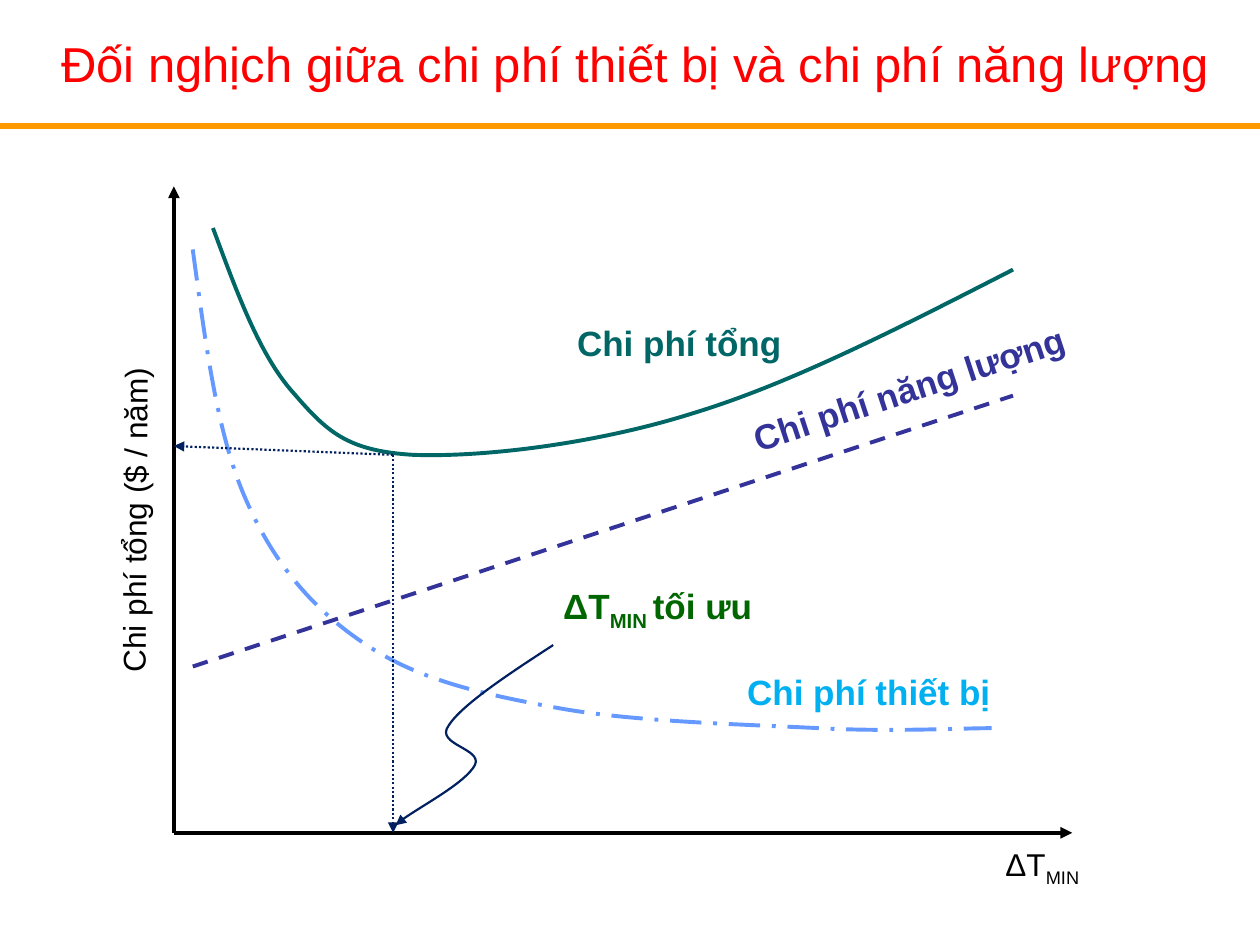
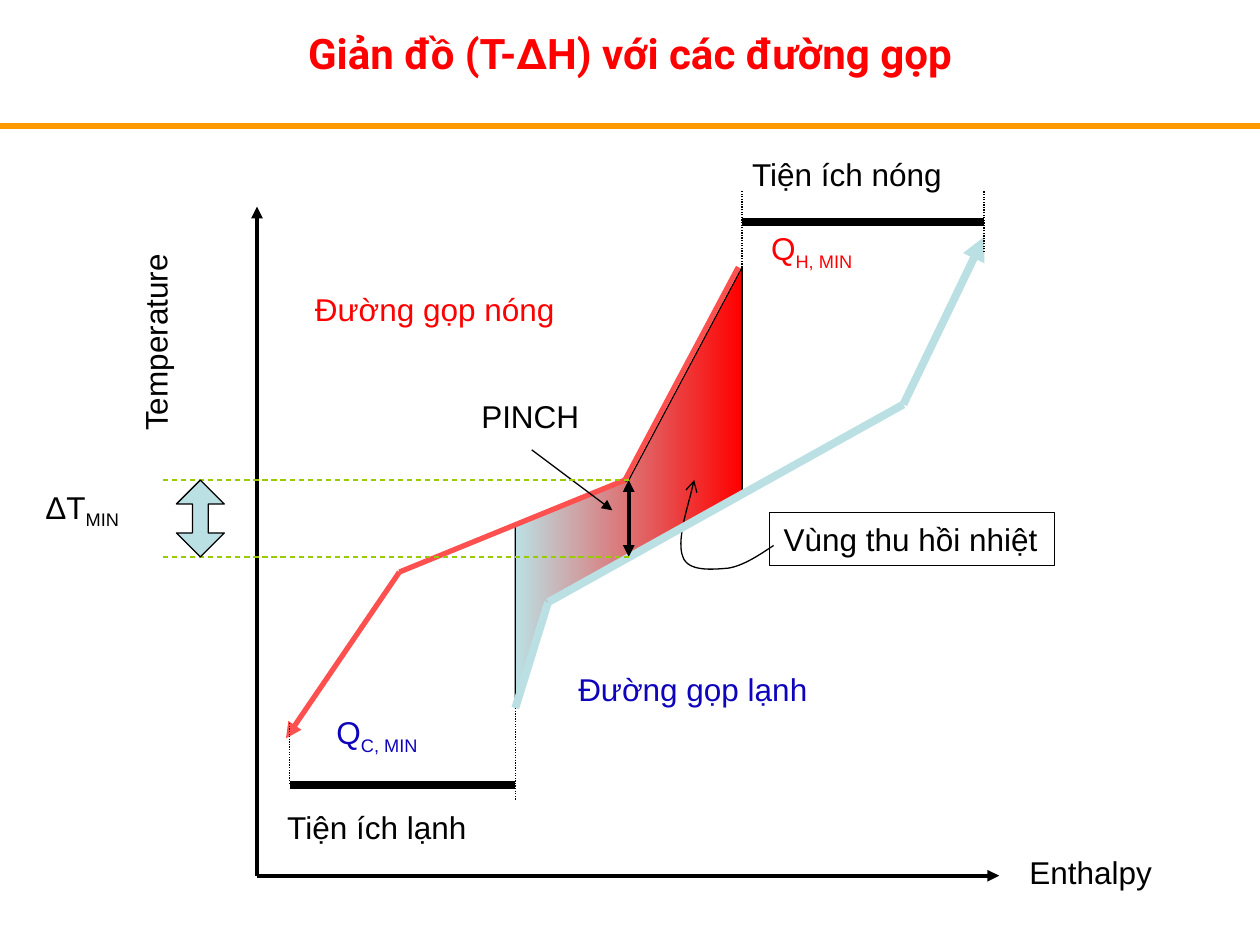
"""Build two slides on the cost trade-off and composite curves of pinch analysis."""
from itertools import pairwise

from lxml import etree
from pptx import Presentation
from pptx.dml.color import RGBColor
from pptx.enum.dml import MSO_LINE
from pptx.enum.shapes import MSO_CONNECTOR, MSO_SHAPE
from pptx.enum.text import MSO_ANCHOR, MSO_AUTO_SIZE, PP_ALIGN
from pptx.oxml.ns import qn
from pptx.util import Inches, Pt

DOT, DASH, DASH_DOT = MSO_LINE.ROUND_DOT, MSO_LINE.DASH, MSO_LINE.LONG_DASH_DOT
TOP, MIDDLE = MSO_ANCHOR.TOP, MSO_ANCHOR.MIDDLE
FIT, NO_FIT = MSO_AUTO_SIZE.SHAPE_TO_FIT_TEXT, MSO_AUTO_SIZE.NONE
CENTER, LEFT = PP_ALIGN.CENTER, PP_ALIGN.LEFT
TITLE_ONLY = 5

COLORS = {
    "red": "FF0000", "orange": "FF9900", "black": "000000", "teal": "006666",
    "sky": "6699FF", "indigo": "333399", "navy": "002060", "cyan": "00B0F0",
    "green": "006600", "hot": "FF5050", "cold": "BBE0E3", "blue": "0D04BC",
    "lime": "99CC00",
}

# Titles: text, box, font, size, bold, anchor
COST_TITLE = ("Đối nghịch giữa chi phí thiết bị và chi phí năng lượng",
              (0.33, 0, 9.42, 1), "Arial", 28, False, MIDDLE)
PINCH_TITLE = ("Giản đồ (T-ΔH) với các đường gọp",
               (0.75, 0.17, 8.5, 0.5), "Roboto", 24, True, TOP)

# Labels: text with _subscript_, box, colour, size, bold, rotation, wrap
COST_LABELS = [
    ("Chi phí tổng", (4.47, 2.49, 1.86, 0.45), "teal", 20, True, 0, False),
    ("Chi phí năng lượng", (5.81, 2.85, 2.82, 0.45), "indigo", 20, True, 341.7, False),
    ("Chi phí thiết bị", (5.82, 5.26, 2.17, 0.45), "cyan", 20, True, 0, False),
    ("Chi phí tổng ($ / năm)", (-0.76, 3.42, 3.64, 0.41), "black", 18, False, 270.3, True),
    ("ΔT_MIN_", (7.87, 6.65, 1.32, 0.68), "black", 18, False, 0, False),
    ("ΔT_MIN _tối ưu", (4.36, 4.58, 1.76, 0.45), "green", 20, True, 0, False),
]
PINCH_LABELS = [
    ("Đường gọp nóng", (2.39, 2.24, 2.14, 0.41), "red"),
    ("Đường gọp lạnh", (4.48, 5.26, 2.06, 0.42), "blue"),
    ("Tiện ích nóng", (5.86, 1.17, 1.74, 0.42), "black"),
    ("Q_H, MIN_", (6.01, 1.76, 1.21, 0.54), "red"),
    ("Tiện ích lạnh", (2.17, 6.35, 1.66, 0.42), "black"),
    ("Q_C, MIN_", (2.56, 5.6, 1.19, 0.54), "blue"),
    ("PINCH", (3.71, 3.09, 1.38, 0.54), "black"),
    ("ΔT_MIN_", (0.25, 3.81, 1.15, 0.54), "black"),
    ("Temperature", (0.22, 2.16, 2.17, 0.57), "black", 18, False, 269.9),
    ("Enthalpy", (8.06, 6.71, 1.65, 0.54), "black"),
]
RECOVERY_LABEL = ("Vùng thu hồi nhiệt", (6.11, 4.07, 2.26, 0.42))

# Curves: a start point, then three Bézier points per segment
TOTAL_COST = [(1.69, 1.81), (1.88, 2.32), (2.06, 2.82), (2.33, 3.12),
              (2.59, 3.42), (2.75, 3.58), (3.28, 3.61),
              (3.81, 3.63), (4.71, 3.53), (5.5, 3.28),
              (6.29, 3.04), (7.16, 2.59), (8.04, 2.14)]
EQUIPMENT_COST = [(1.53, 1.98), (1.63, 2.71), (1.72, 3.44), (1.95, 3.96),
                  (2.18, 4.49), (2.5, 4.85), (2.91, 5.12),
                  (3.33, 5.4), (3.83, 5.51), (4.43, 5.62),
                  (5.03, 5.73), (5.92, 5.75), (6.5, 5.78),
                  (7.07, 5.81), (7.62, 5.78), (7.87, 5.78)]
OPTIMUM_POINTER = [(4.39, 5.12), (4.02, 5.36), (3.66, 5.6), (3.56, 5.76),
                   (3.45, 5.91), (3.83, 5.94), (3.77, 6.07),
                   (3.7, 6.21), (3.21, 6.47), (3.14, 6.55)]
RECOVERY_POINTER = [(6.14, 4.33), (6.02, 4.41), (5.9, 4.49), (5.78, 4.51),
                    (5.66, 4.52), (5.46, 4.54), (5.42, 4.42),
                    (5.37, 4.3), (5.49, 3.91), (5.51, 3.81)]

RECOVERY_AREA = [(4.09, 5.62), (4.09, 4.17), (4.99, 3.81), (5.89, 2.12),
                 (5.89, 3.93), (4.35, 4.78)]
HOT_COMPOSITE = [(5.86, 2.12), (4.96, 3.81), (3.17, 4.54), (2.27, 5.86)]
COLD_COMPOSITE = [(4.09, 5.62), (4.35, 4.78), (7.17, 3.21), (7.81, 1.88)]
PINCH_X, PINCH_HOT, PINCH_COLD = 4.99, 3.81, 4.42

# Utility spans: left x, right x, bar y, then the far ends of both guides
HOT_UTILITY = (5.89, 7.81, 1.76, (2.12, 1.51), (2, 1.51))
COLD_UTILITY = (2.3, 4.09, 6.23, (5.74, 6.23), (5.62, 6.35))


def rgb(name):
    return RGBColor.from_string(COLORS[name])


def box(values):
    return [Inches(v) for v in values]


def style_line(sp, color, width, dash=None, tail=None, head=None):
    sp.line.color.rgb = rgb(color)
    sp.line.width = Pt(width)
    if dash:
        sp.line.dash_style = dash
    ln = sp._element.spPr.find(qn("a:ln"))
    for tag, kind in (("a:headEnd", head), ("a:tailEnd", tail)):
        if kind:
            etree.SubElement(ln, qn(tag), type=kind)


def add_line(s, start, end, *style, **ends):
    sp = s.shapes.add_connector(MSO_CONNECTOR.STRAIGHT, *box(start + end))
    style_line(sp, *style, **ends)
    etree.SubElement(sp._element.spPr, qn("a:effectLst"))


def add_polyline(s, points, color, width):
    for start, end in pairwise(points):
        tail = "triangle" if end == points[-1] else None
        add_line(s, start, end, color, width, tail=tail)


def add_outline(s, points, close):
    first, *rest = [tuple(box(p)) for p in points]
    builder = s.shapes.build_freeform(*first)
    builder.add_line_segments(rest, close=close)
    sp = builder.convert_to_shape()
    sp.shadow.inherit = False
    return sp


def add_curve(s, points, *style, **ends):
    sp = add_outline(s, points, False)
    sp.fill.background()
    style_line(sp, *style, **ends)
    steps = list(sp._element.iter(qn("a:lnTo")))
    for i in range(0, len(steps), 3):
        bezier = etree.SubElement(steps[i].getparent(), qn("a:cubicBezTo"))
        for step in steps[i:i + 3]:
            bezier.append(step[0])
            step.getparent().remove(step)


def write(sp, text, color, size=18, bold=False, wrap=False):
    tf = sp.text_frame
    tf.word_wrap = wrap
    tf.auto_size = FIT
    tf.vertical_anchor = TOP
    tf.margin_left = tf.margin_right = Inches(0.11)
    tf.margin_top = tf.margin_bottom = Inches(0.06)
    p = tf.paragraphs[0]
    p.alignment = LEFT
    p.font.name, p.font.size, p.font.bold = "Arial", Pt(size), bold
    p.font.color.rgb = rgb(color)
    for i, part in enumerate(text.split("_")):
        if part:
            r = p.add_run()
            r.text = part
            if i % 2:
                r._r.get_or_add_rPr().set("baseline", "-25000")


def add_label(s, text, at, color, size=18, bold=False, rotation=0, wrap=False):
    sp = s.shapes.add_textbox(*box(at))
    write(sp, text, color, size, bold, wrap)
    sp.rotation = rotation


def add_shape(s, kind, at):
    sp = s.shapes.add_shape(kind, *box(at))
    sp.shadow.inherit = False
    style_line(sp, "black", 0.75)
    return sp


def add_axes(s, origin, top, right):
    x, y = origin
    for end in ((x, top), (right, y)):
        add_line(s, origin, end, "black", 2.25, tail="triangle")


def add_utility(s, left, right, y, left_guide, right_guide):
    for x, (y1, y2) in ((left, left_guide), (right, right_guide)):
        add_line(s, (x, y1), (x, y2), "black", 0.75, DOT)
    add_line(s, (left, y), (right, y), "black", 4.5)


def new_slide(prs, text, at, font, size, bold, anchor):
    s = prs.slides.add_slide(prs.slide_layouts[TITLE_ONLY])
    sp = s.shapes.title
    sp.left, sp.top, sp.width, sp.height = box(at)
    tf = sp.text_frame
    tf.text = text
    tf.word_wrap = True
    tf.auto_size = NO_FIT
    tf.vertical_anchor = anchor
    p = tf.paragraphs[0]
    p.alignment = CENTER
    p.font.name, p.font.size, p.font.bold = font, Pt(size), bold
    p.font.color.rgb = rgb("red")
    add_line(s, (0, 1), (10, 1), "orange", 3)
    return s


def build_cost_slide(prs):
    s = new_slide(prs, *COST_TITLE)
    add_axes(s, (1.38, 6.61), 1.48, 8.51)
    add_curve(s, TOTAL_COST, "teal", 2.25)
    add_curve(s, EQUIPMENT_COST, "sky", 2.25, DASH_DOT)
    add_line(s, (1.53, 5.29), (8.04, 3.14), "indigo", 2.25, DASH)
    for end in ((3.12, 6.61), (1.38, 3.54)):
        add_line(s, (3.12, 3.61), end, "navy", 1.25, DOT, tail="triangle")
    add_curve(s, OPTIMUM_POINTER, "navy", 1.25, tail="triangle")
    for label in COST_LABELS:
        add_label(s, *label)


def build_pinch_slide(prs):
    s = new_slide(prs, *PINCH_TITLE)
    area = add_outline(s, RECOVERY_AREA, True)
    area.fill.gradient()
    area.fill.gradient_angle = 0
    for stop, color in zip(area.fill.gradient_stops, ("cold", "red")):
        stop.color.rgb = rgb(color)
    style_line(area, "black", 0.75)

    text, at = RECOVERY_LABEL
    sp = add_shape(s, MSO_SHAPE.RECTANGLE, at)
    sp.fill.background()
    write(sp, text, "black")
    add_curve(s, RECOVERY_POINTER, "black", 0.75, tail="arrow")

    add_axes(s, (2.04, 6.95), 1.64, 7.93)
    add_polyline(s, HOT_COMPOSITE, "hot", 3)
    add_polyline(s, COLD_COMPOSITE, "cold", 4.5)
    for utility in (HOT_UTILITY, COLD_UTILITY):
        add_utility(s, *utility)

    add_line(s, (PINCH_X, PINCH_HOT), (PINCH_X, PINCH_COLD), "black", 2.25,
             tail="triangle", head="triangle")
    add_line(s, (4.22, 3.57), (4.86, 4.05), "black", 0.75, tail="triangle")
    for y in (PINCH_HOT, PINCH_COLD):
        add_line(s, (PINCH_X, y), (1.28, y), "lime", 0.75, DASH)
    sp = add_shape(s, MSO_SHAPE.UP_DOWN_ARROW,
                   (1.4, PINCH_HOT, 0.38, PINCH_COLD - PINCH_HOT))
    sp.adjustments[0], sp.adjustments[1] = 0.5, 0.33
    sp.fill.solid()
    sp.fill.fore_color.rgb = rgb("cold")
    for label in PINCH_LABELS:
        add_label(s, *label)


def main():
    prs = Presentation()
    prs.slide_width, prs.slide_height = Inches(10), Inches(7.5)
    build_cost_slide(prs)
    build_pinch_slide(prs)
    prs.save("out.pptx")


if __name__ == "__main__":
    main()
